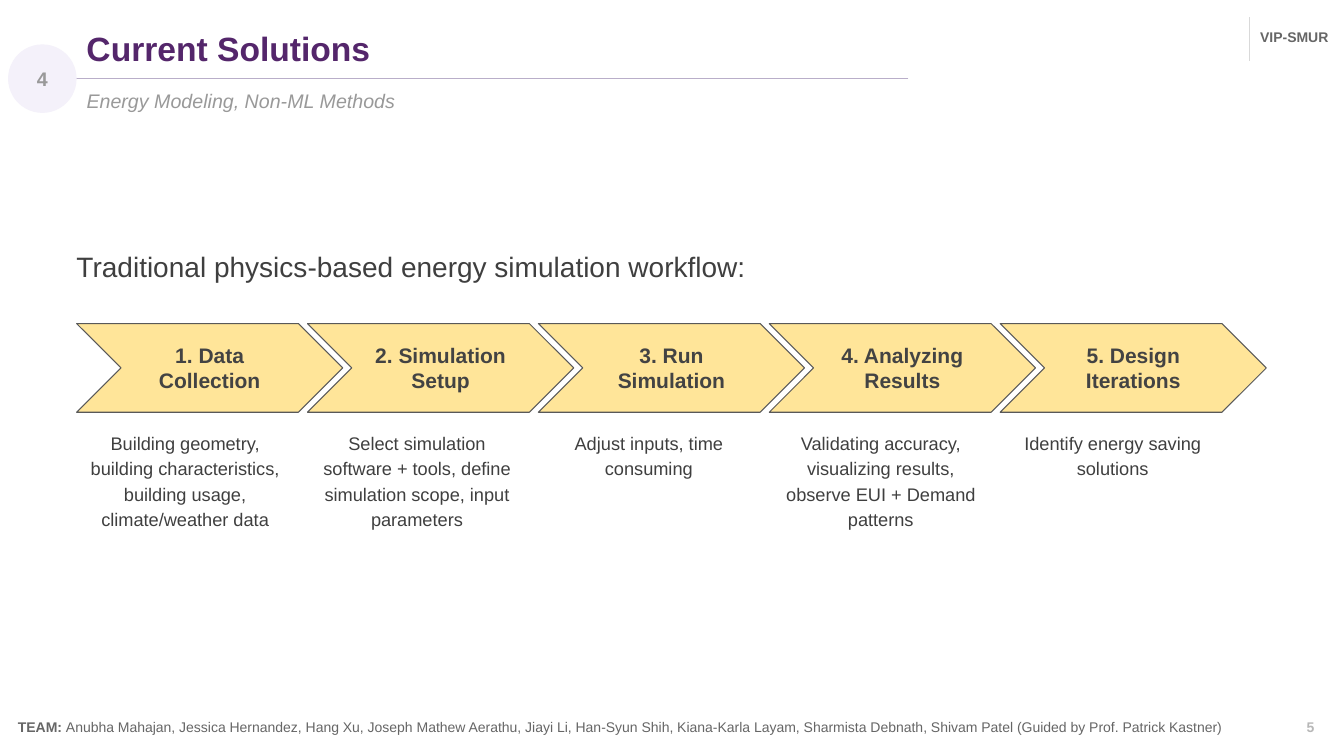
import pptx
import pptx.util
import pptx.dml.color
import pptx.enum.shapes
import pptx.enum.text
import pptx.oxml.ns
import lxml.etree

Inches = pptx.util.Inches
Pt = pptx.util.Pt
SHAPES = pptx.enum.shapes.MSO_SHAPE
ANCHOR = pptx.enum.text.MSO_ANCHOR
ALIGN = pptx.enum.text.PP_ALIGN

COLORS = {
    "title": "54266B", "muted": "999999", "body": "3F3F3F", "step": "434343",
    "footer": "666666", "page": "B7B7B7", "badge": "F4F1FA", "rule": "B9AEC9",
    "divider": "D9D9D9", "chevron": "FFE599", "outline": "595959",
}

TITLE = "Current Solutions"
SUBTITLE = "Energy Modeling, Non-ML Methods"
SECTION = "4"
PAGE = "5"
GROUP = "VIP-SMUR"
HEADING = "Traditional physics-based energy simulation workflow:"
TEAM_LABEL = "TEAM: "
TEAM = (
    "Anubha Mahajan, Jessica Hernandez, Hang Xu, Joseph Mathew Aerathu, Jiayi Li, "
    "Han-Syun Shih, Kiana-Karla Layam, Sharmista Debnath, Shivam Patel "
    "(Guided by Prof. Patrick Kastner)"
)
# Step name (one paragraph per line), description, description height
STEPS = [
    ("1. Data\nCollection",
     "Building geometry, building characteristics, building usage, climate/weather data", 1.18),
    ("2. Simulation Setup",
     "Select simulation software + tools, define simulation scope, input parameters", 1.18),
    ("3. Run\nSimulation", "Adjust inputs, time consuming", 0.67),
    ("4. Analyzing Results",
     "Validating accuracy, visualizing results, observe EUI + Demand patterns", 1.18),
    ("5. Design Iterations", "Identify energy saving solutions", 0.67),
]

LEFT = 0.76
CHEVRON_PITCH = 2.29
DESCRIPTION_PITCH = 2.3


def rgb(name):
    return pptx.dml.color.RGBColor.from_string(COLORS[name])


def write(shape, text, size, color, bold=False, italic=False, align=ALIGN.LEFT,
          anchor=ANCHOR.TOP, spacing=None):
    frame = shape.text_frame
    frame.text = text
    frame.word_wrap = True
    frame.vertical_anchor = anchor
    frame.margin_left = frame.margin_right = Inches(0.1)
    frame.margin_top = frame.margin_bottom = Inches(0.1)
    for para in frame.paragraphs:
        para.alignment = align
        para.line_spacing = spacing
        for span in para.runs:
            span.font.name = "Arial"
            span.font.size = Pt(size)
            span.font.color.rgb = rgb(color)
            span.font.bold = bold
            span.font.italic = italic


def add_text(slide, area, text, size, color, **style):
    box = slide.shapes.add_textbox(*map(Inches, area))
    write(box, text, size, color, **style)
    return box


def add_shape(slide, kind, area, fill, outline=None):
    shape = slide.shapes.add_shape(kind, *map(Inches, area))
    shape.shadow.inherit = False
    shape.fill.solid()
    shape.fill.fore_color.rgb = rgb(fill)
    if outline:
        shape.line.color.rgb = rgb(outline)
        shape.line.width = Pt(0.75)
    else:
        shape.line.fill.background()
    return shape


def add_line(slide, ends, color):
    line = slide.shapes.add_connector(
        pptx.enum.shapes.MSO_CONNECTOR.STRAIGHT, *map(Inches, ends))
    line.line.color.rgb = rgb(color)
    line.line.width = Pt(0.75)
    properties = line._element.spPr
    lxml.etree.SubElement(properties, pptx.oxml.ns.qn("a:effectLst"))


def add_frame(slide):
    """Add the header and footer parts around the content."""
    add_text(slide, (12.86, 6.93, 0.42, 0.57), PAGE, 10, "page",
             bold=True, anchor=ANCHOR.MIDDLE)
    add_line(slide, (9.01, 0.78, 0.68, 0.78), "rule")

    team = add_text(slide, (0.08, 6.93, 12.87, 0.57), TEAM_LABEL, 10, "footer",
                    bold=True, anchor=ANCHOR.MIDDLE)
    names = team.text_frame.paragraphs[0].add_run()
    names.text = TEAM
    names.font.name = "Arial"
    names.font.size = Pt(10)
    names.font.bold = False
    names.font.color.rgb = rgb("footer")

    badge = add_shape(slide, SHAPES.OVAL, (0.08, 0.44, 0.68, 0.68), "badge")
    write(badge, SECTION, 14, "muted", bold=True, align=ALIGN.CENTER, anchor=ANCHOR.MIDDLE)
    add_line(slide, (12.39, 0.17, 12.39, 0.61), "divider")
    add_text(slide, (12.4, 0.08, 0.94, 0.57), GROUP, 10, "footer",
             bold=True, anchor=ANCHOR.MIDDLE)
    add_text(slide, (LEFT, 0.78, 12.01, 0.68), SUBTITLE, 14, "muted", italic=True)
    add_text(slide, (LEFT, 0.18, 9.96, 0.68), TITLE, 24, "title", bold=True)


def add_workflow(slide):
    add_text(slide, (0.66, 2.33, 12.01, 3.91), HEADING, 20, "body", spacing=1.15)
    for index, (name, description, height) in enumerate(STEPS):
        chevron = add_shape(slide, SHAPES.CHEVRON,
                            (LEFT + index * CHEVRON_PITCH, 3.21, 2.64, 0.88),
                            "chevron", "outline")
        write(chevron, name, 15, "step", bold=True, align=ALIGN.CENTER, anchor=ANCHOR.MIDDLE)
        add_text(slide, (LEFT + index * DESCRIPTION_PITCH, 4.16, 2.15, height),
                 description, 13, "body", align=ALIGN.CENTER, spacing=1.15)


def main():
    deck = pptx.Presentation()
    deck.slide_width = Inches(13.33)
    deck.slide_height = Inches(7.5)
    slide = deck.slides.add_slide(deck.slide_layouts[6])
    add_frame(slide)
    add_workflow(slide)
    deck.save("out.pptx")


if __name__ == "__main__":
    main()
